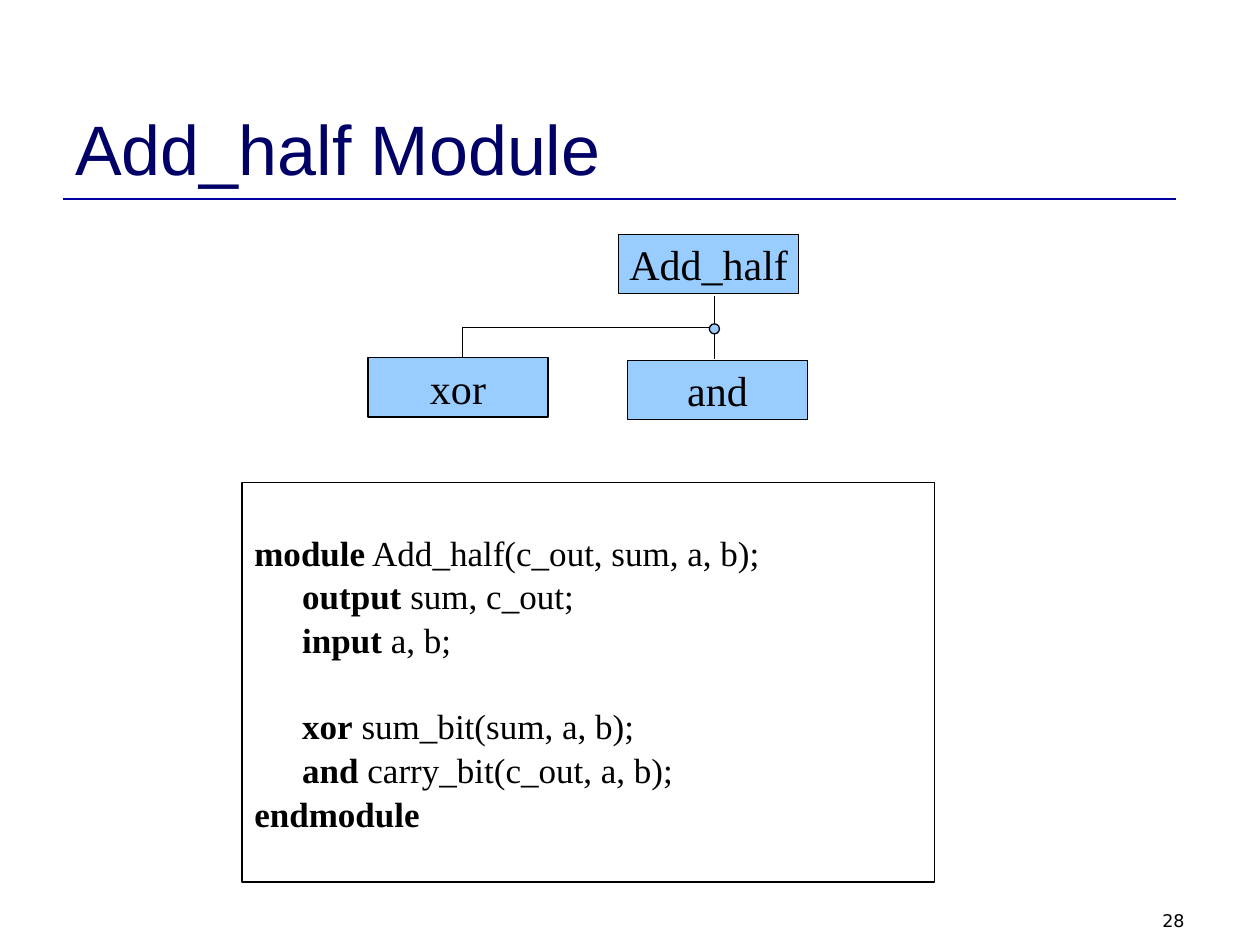
from pptx import Presentation
from pptx.dml.color import RGBColor
from pptx.enum.shapes import MSO_CONNECTOR, MSO_SHAPE
from pptx.enum.text import MSO_ANCHOR, PP_ALIGN
from pptx.oxml.ns import qn
from pptx.util import Inches, Pt
from lxml import etree

RECT, OVAL = MSO_SHAPE.RECTANGLE, MSO_SHAPE.OVAL
STRAIGHT = MSO_CONNECTOR.STRAIGHT
TOP, MIDDLE, BOTTOM = MSO_ANCHOR.TOP, MSO_ANCHOR.MIDDLE, MSO_ANCHOR.BOTTOM
LEFT, CENTER, RIGHT = PP_ALIGN.LEFT, PP_ALIGN.CENTER, PP_ALIGN.RIGHT
W, H = 10, 7.5
SERIF = "Times New Roman"
BLACK, BLUE, NAVY, RULE = "000000", "99CCFF", "000066", "0000A0"
CODE = [
    (0, 0, "module", " Add_half(c_out, sum, a, b);"),
    (1, 5.8, "output", " sum, c_out;"),
    (1, 5.8, "input", " a, b;"),
    (1, 30, "xor", " sum_bit(sum, a, b);"),
    (1, 5.8, "and", " carry_bit(c_out, a, b);"),
    (0, 5.8, "endmodule", ""),
]


def rgb(color):
    """Turn a hex string into a colour."""
    return RGBColor.from_string(color)


def style(p, size, font, color, align=LEFT):
    """Set the font and alignment of a paragraph."""
    p.font.size, p.font.name = Pt(size), font
    p.font.color.rgb = rgb(color)
    p.alignment = align


def add_line(s, x1, y1, x2, y2, color=BLACK, width=0.75):
    """Draw a straight line without shadow."""
    c = s.shapes.add_connector(STRAIGHT, *map(Inches, (x1, y1, x2, y2)))
    c.line.color.rgb, c.line.width = rgb(color), Pt(width)
    etree.SubElement(c._element.spPr, qn("a:effectLst"))


def add_box(s, kind, box, fill=None):
    """Draw a thinly outlined shape, filled if a colour is given."""
    sp = s.shapes.add_shape(kind, *map(Inches, box))
    sp.shadow.inherit = False
    sp.line.color.rgb, sp.line.width = rgb(BLACK), Pt(0.75)
    if fill:
        sp.fill.solid()
        sp.fill.fore_color.rgb = rgb(fill)
    else:
        sp.fill.background()
    return sp


def add_label(s, box, text, size, font, color, align, anchor):
    """Place one line of text in a box."""
    tf = s.shapes.add_textbox(*map(Inches, box)).text_frame
    tf.word_wrap, tf.vertical_anchor = True, anchor
    p = tf.paragraphs[0]
    p.text = text
    style(p, size, font, color, align)


def add_heading(s, box):
    """Place the title with the rule below it."""
    x, y, w, h = box
    base = y + h + 0.03
    add_line(s, x, base, x + w - 0.17, base, RULE, 1.5)
    add_label(s, box, "Add_half Module", 40, "Arial", NAVY, LEFT, BOTTOM)


def add_hierarchy(s, box):
    """Draw the module tree within its box."""
    x, y, w, h = box
    node_w, node_h, dot = 1.43, 0.47, 0.08
    trunk, branch, joint = x + 2.75, x + 0.75, y + 0.74
    add_line(s, trunk, y + 0.49, trunk, y + 0.99)
    add_line(s, branch, y + 1.08, branch, joint)
    add_line(s, trunk, joint, branch, joint)
    add_box(s, OVAL, (trunk - dot / 2, joint - dot / 2 + 0.01, dot, dot), BLUE)
    low = y + h - node_h
    nodes = [("Add_half", x + 1.99, y), ("and", x + w - node_w, low), ("xor", x, low - 0.02)]
    for text, left, top in nodes:
        tf = add_box(s, RECT, (left, top, node_w, node_h), BLUE).text_frame
        tf.word_wrap, tf.vertical_anchor = False, MIDDLE
        p = tf.paragraphs[0]
        p.text = text
        style(p, 24, SERIF, BLACK, CENTER)


def add_code(s, box):
    """Place the module listing in an outlined box."""
    tf = add_box(s, RECT, box).text_frame
    tf.word_wrap, tf.vertical_anchor = True, TOP
    tf.margin_top = Inches(0.45)
    for i, (level, before, keyword, rest) in enumerate(CODE):
        p = tf.add_paragraph() if i else tf.paragraphs[0]
        p._p.get_or_add_pPr().set("marL", str(Inches(0.38 * level)))
        p.line_spacing, p.space_before = 0.8, Pt(before)
        style(p, 20, SERIF, BLACK)
        r = p.add_run()
        r.text, r.font.bold = keyword, True
        if rest:
            p.add_run().text = rest


def main():
    """Build the slide and save it."""
    prs = Presentation()
    prs.slide_width, prs.slide_height = Inches(W), Inches(H)
    s = prs.slides.add_slide(prs.slide_layouts[6])
    add_heading(s, (0.05 * W, 0.04 * H, 0.9 * W, 1.25))
    add_code(s, (1.92, 3.83, 0.55 * W, 3.17))
    add_hierarchy(s, (2.92, 1.86, 3.49, 1.47))
    add_label(s, (7.17, 7.17, 2.33, 0.25), "28", 10, "DejaVu Sans", BLACK, RIGHT, TOP)
    prs.save("out.pptx")


if __name__ == "__main__":
    main()
